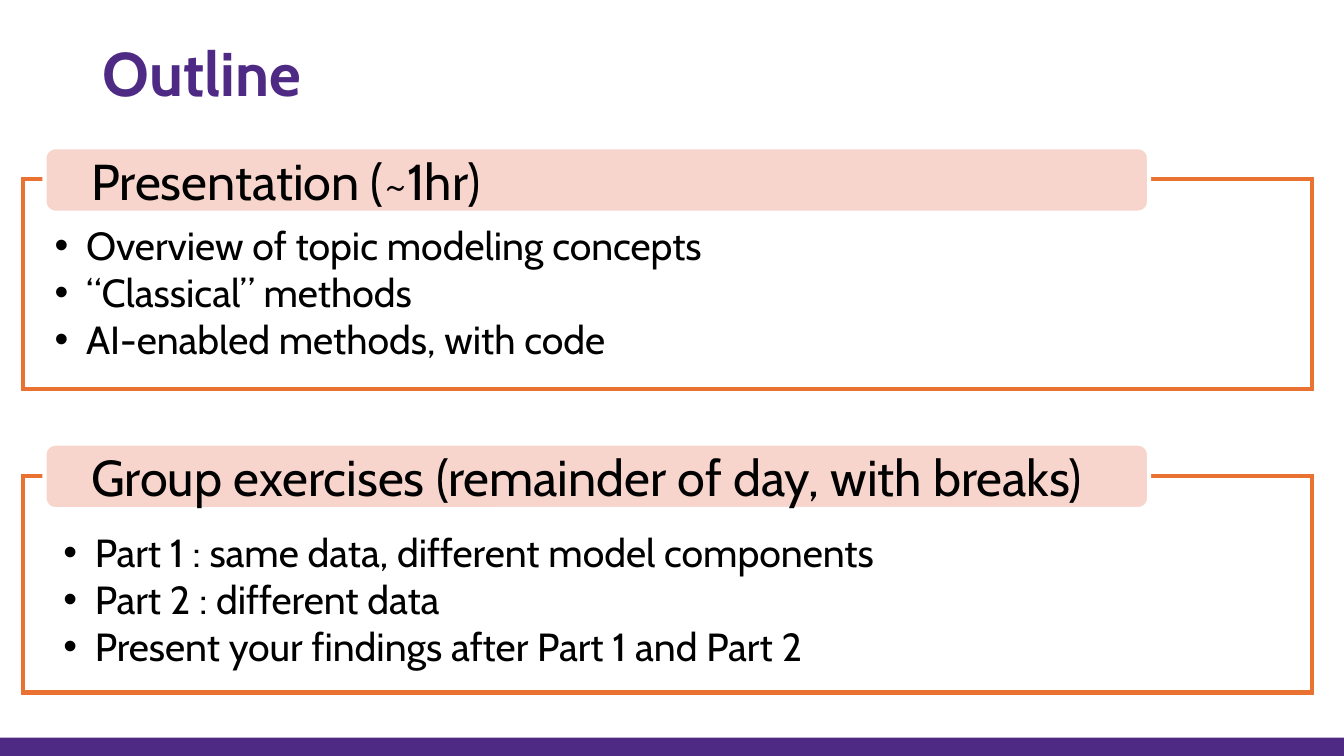
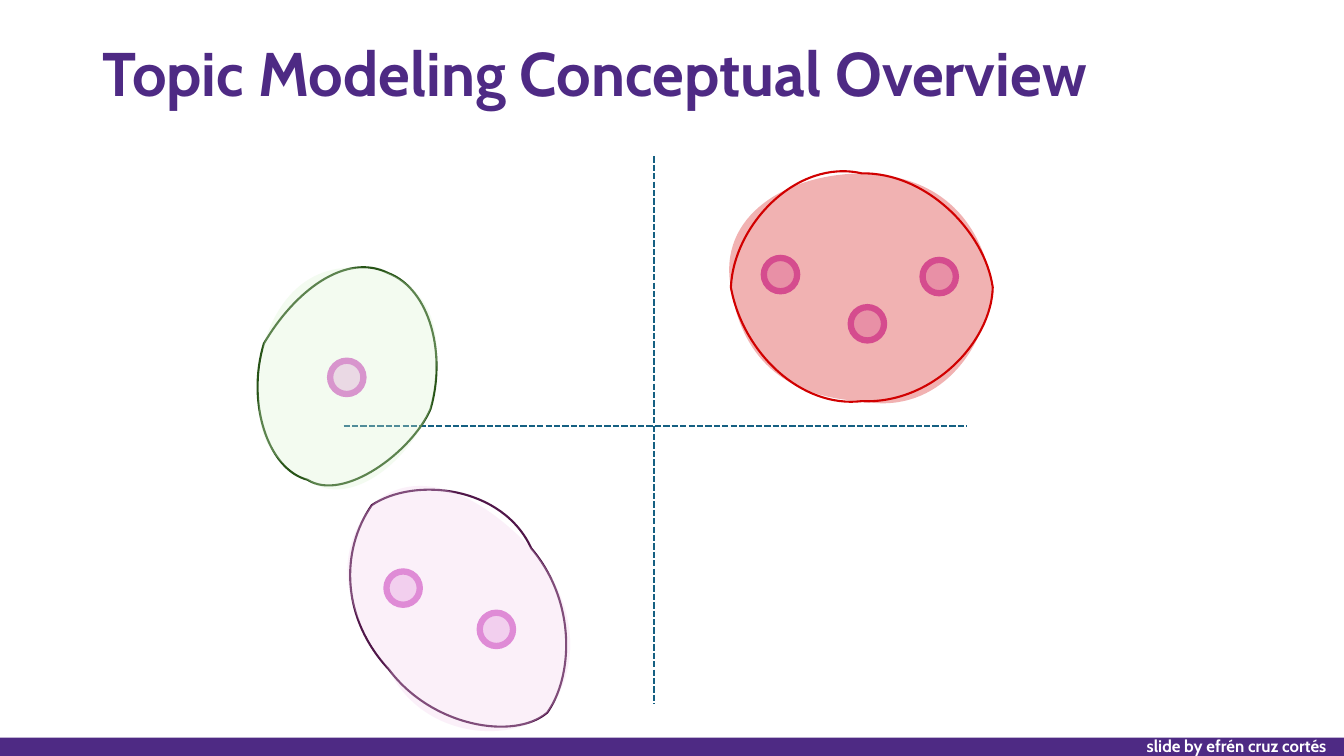
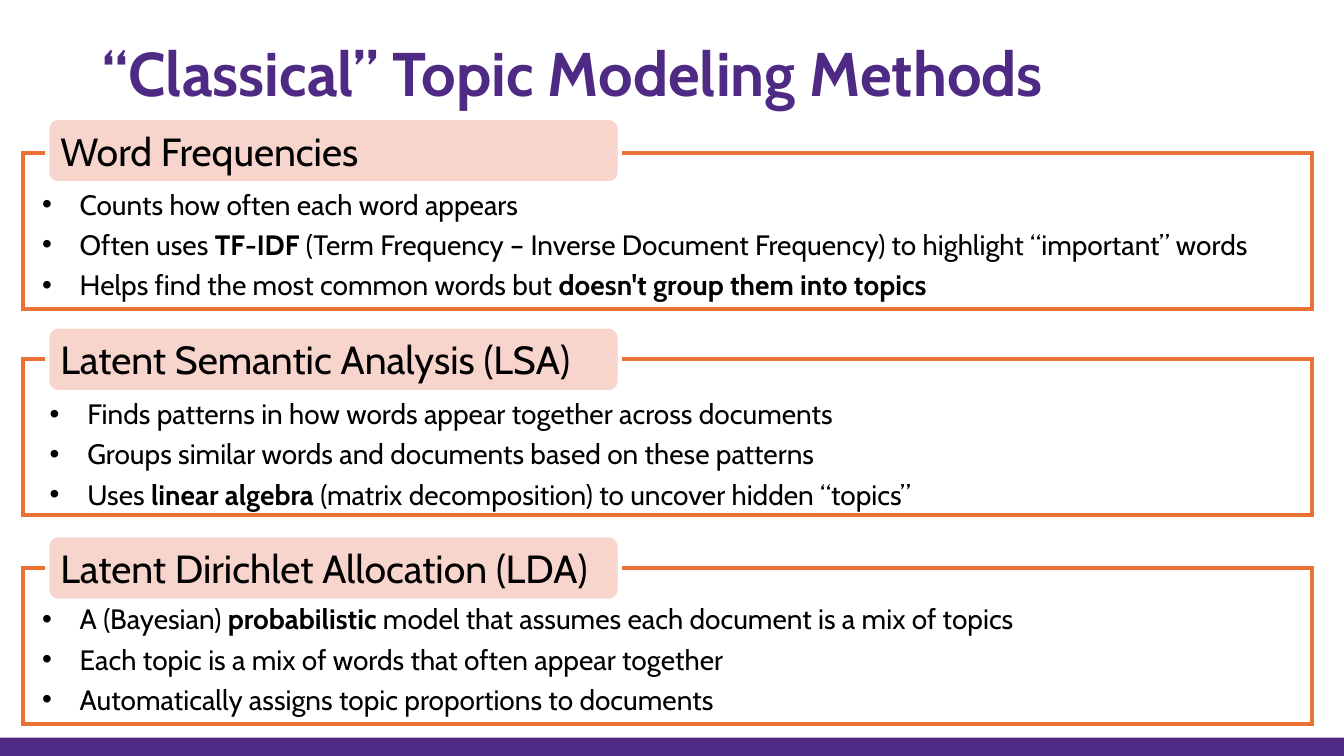
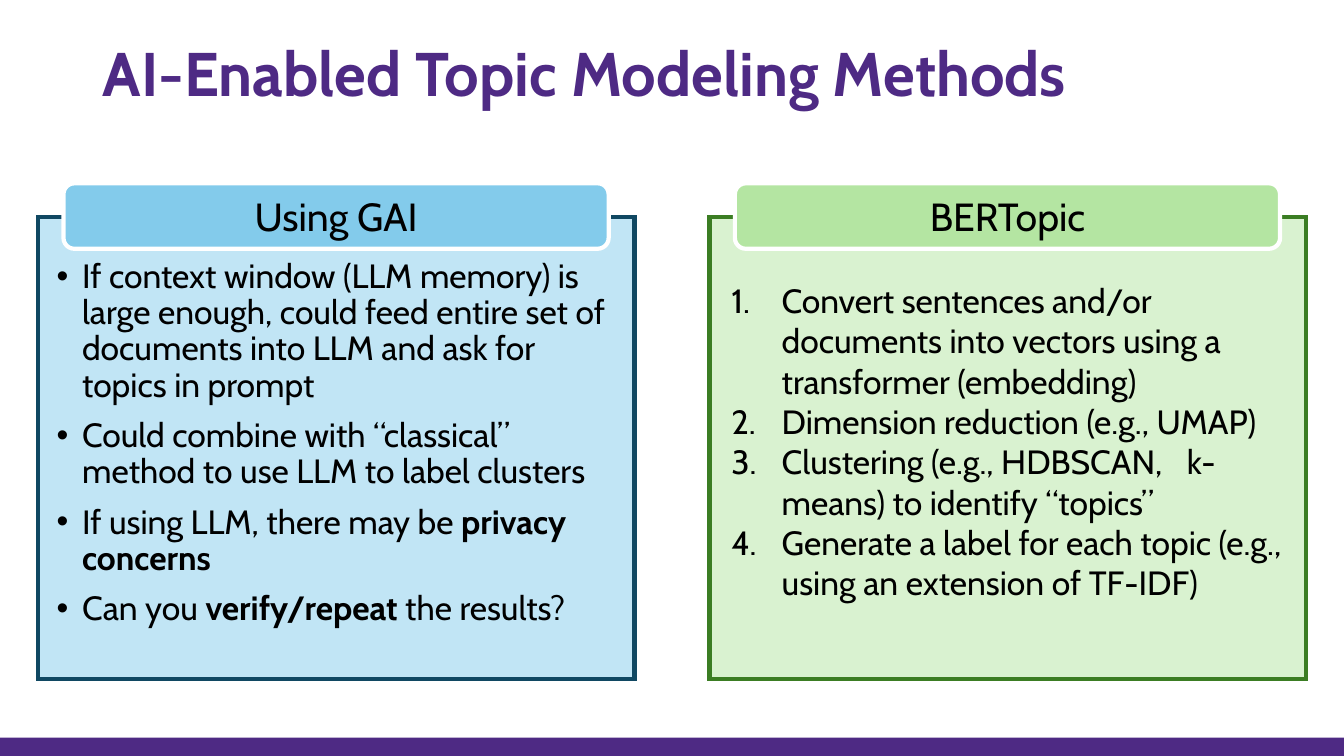
"""Build four slides on topic modeling."""
from math import cos, radians, sin

from lxml.etree import SubElement
from pptx import Presentation
from pptx.dml.color import RGBColor
from pptx.enum.dml import MSO_LINE
from pptx.enum.shapes import MSO_CONNECTOR, MSO_SHAPE
from pptx.enum.text import MSO_ANCHOR, MSO_AUTO_SIZE, PP_ALIGN
from pptx.oxml.ns import qn
from pptx.util import Cm, Pt

FONT = "Cabin"
PURPLE, WHITE, BLACK = "4E2A84", "FFFFFF", "000000"
ORANGE, PEACH, TEAL = "E97132", "F7D5CD", "156082"
ORCHID, PINK = "D86ECC", "F2CFEE"
WIDTH, HEIGHT = 33.87, 19.05
TITLE_BOX = (2.33, 0.69, 29.21, 2.49)
BAND = (0, 18.59, WIDTH, 0.46)
TAB_H = 1.65

FRAME = dict(left=0.59, width=32.48, fill=None, line=ORANGE, tab_fill=PEACH,
             align=PP_ALIGN.LEFT)
OUTLINE = dict(FRAME, tab_left=1.12, tab_width=27.84, tab_size=36, tab_margin=1.1,
               body=dict(size=28, indent=0.79))
CLASSICAL = dict(FRAME, height=3.93, tab_left=1.19, tab_width=14.43, tab_size=28,
                 tab_margin=0.25, body=dict(size=20, indent=0.95, spacing=1.2))
CARD = dict(top=5.46, width=15.04, height=11.66, tab_top=4.62, tab_width=13.74, tab_size=28,
            tab_margin=0.25, align=PP_ALIGN.CENTER)
METHOD_TAB_TOP, METHOD_PITCH = 2.97, 5.26

OUTLINE_PANELS = [
    dict(OUTLINE, top=4.52, height=5.28, tab_top=3.71, body_box=(1.13, 5.46, 24.13, 3.84),
         heading="Presentation (~1hr)",
         items=["Overview of topic modeling concepts",
                "“Classical” methods",
                "AI-enabled methods, with code"]),
    dict(OUTLINE, top=11.99, height=5.46, tab_top=11.18, body_box=(1.35, 13.18, 21.72, 3.84),
         heading="Group exercises (remainder of day, with breaks)",
         items=["Part 1 : same data, different model components",
                "Part 2 : different data",
                "Present your findings after Part 1 and Part 2"]),
]

METHODS = [
    ("Word Frequencies", 3.85, (0.81, 4.42, 31.88, 3.28), [
        "Counts how often each word appears",
        "Often uses **TF-IDF** (Term Frequency – Inverse Document Frequency) "
        "to highlight “important” words",
        "Helps find the most common words but **doesn't group them into topics**"]),
    ("Latent Semantic Analysis (LSA)", 9.04, (1, 9.7, 31.88, 3.28), [
        "Finds patterns in how words appear together across documents",
        "Groups similar words and documents based on these patterns",
        "Uses **linear algebra **(matrix decomposition) to uncover hidden “topics”"]),
    ("Latent Dirichlet Allocation (LDA)", 14.31, (0.81, 14.87, 31.04, 3.28), [
        "A (Bayesian) **probabilistic** model that assumes each document is a mix of topics",
        "Each topic is a mix of words that often appear together",
        "Automatically assigns topic proportions to documents"]),
]
METHOD_PANELS = [
    dict(CLASSICAL, top=top, tab_top=METHOD_TAB_TOP + i * METHOD_PITCH, heading=heading,
         body_box=box, items=items)
    for i, (heading, top, box, items) in enumerate(METHODS)
]

AI_PANELS = [
    dict(CARD, left=0.95, fill="C1E5F5", line="104862", tab_left=1.6, tab_fill="83CBEB",
         body_box=(1.18, 6.41, 14.43, 10.24), heading="Using GAI",
         body=dict(size=24, indent=0.64, spacing=0.9, before=10),
         items=["If context window (LLM memory) is large enough, could feed entire set of "
                "documents into LLM and ask for topics in prompt",
                "Could combine with “classical” method to use LLM to label clusters",
                "If using LLM, there may be **privacy concerns**",
                "Can you **verify/repeat **the results?"]),
    dict(CARD, left=17.88, fill="D9F2D0", line="3B7D23", tab_left=18.52, tab_fill="B4E5A2",
         body_box=(18.18, 6.93, 14.43, 9.25), heading="BERTopic",
         body=dict(size=24, indent=1.27, numbered=True, tab_stop=11.48),
         items=["Convert sentences and/or documents into vectors using a transformer (embedding)",
                "Dimension reduction (e.g., UMAP)",
                "Clustering (e.g., HDBSCAN,\tk-means) to identify “topics”",
                "Generate a label for each topic (e.g., using an extension of TF-IDF)"]),
]

AXES = [(16.48, 3.94, 16.48, 17.75), (8.66, 10.73, 24.38, 10.73)]
DOT_SIZE = 0.84
DOTS = [(19.25, 6.5), (21.44, 7.74), (23.25, 6.55), (8.32, 9.09), (12.09, 15.44), (9.74, 14.4)]
CLUSTERS = [
    dict(color="D10000", line="D10000", box=(18.42, 4.37, 6.6, 5.74), turn=0,
         anchors=[(18.42, 7.24), (21.72, 4.37), (25.02, 7.24), (21.72, 10.11)],
         edge=[((18.49, 5.66), (20.09, 3.99)), ((23.34, 4.34), (24.82, 5.84)),
               ((24.99, 8.61), (23.5, 10.19)), ((20.19, 10.29), (18.72, 8.89))],
         area=[((18.08, 5.44), (19.81, 4.39)), ((23.8, 4.42), (24.74, 5.66)),
               ((24.77, 9.07), (23.47, 10.46)), ((19.71, 10.01), (18.67, 8.94))]),
    dict(color="D9F2D0", line="275417", box=(6.5, 6.71, 4.52, 5.56), turn=21.4,
         anchors=[(6.65, 8.66), (9.78, 6.88), (10.85, 10.31), (7.75, 12.09)],
         edge=[((7.42, 7.34), (8.71, 6.35)), ((10.85, 7.29), (11.25, 8.94)),
               ((10.39, 11.38), (8.66, 12.67)), ((6.76, 11.84), (6.2, 10.16))],
         area=[((7.14, 7.11), (8.23, 6.43)), ((11.15, 7.49), (11.15, 8.79)),
               ((10.21, 11.79), (8.71, 12.83)), ((6.38, 11.38), (6.4, 10.41))]),
    dict(color="F2CFEE", line="501649", box=(8.15, 12.98, 6.86, 4.7), turn=49.8,
         anchors=[(9.37, 12.73), (13.39, 13.82), (13.79, 17.96), (9.8, 16.87)],
         edge=[((10.44, 12.01), (12.67, 12.24)), ((14.55, 15.19), (14.43, 17.07)),
               ((12.95, 18.67), (10.87, 18.31)), ((8.61, 15.6), (8.56, 13.89))],
         area=[((10.36, 11.81), (11.86, 12.22)), ((14.63, 15.29), (14.61, 16.89)),
               ((12.75, 18.8), (10.59, 18.54)), ((8.53, 15.21), (8.46, 13.87))]),
]
CREDIT, CREDIT_BOX = "slide by efrén cruz cortés", (28.65, 18.42, 5.38, 0.76)


def rgb(value):
    """Turn a hex string into a colour."""
    return RGBColor.from_string(value)


def cms(values):
    """Turn numbers into centimetre lengths."""
    return [Cm(v) for v in values]


def place(sp, box):
    """Move and size a shape."""
    for key, value in zip(("left", "top", "width", "height"), cms(box)):
        setattr(sp, key, value)


def paint(sp, fill=None, line=None, weight=3, alpha=None):
    """Set fill, line and opacity, and drop the shadow."""
    sp.shadow.inherit = False
    if fill:
        sp.fill.solid()
        sp.fill.fore_color.rgb = rgb(fill)
    else:
        sp.fill.background()
    if alpha:
        color = sp.element.spPr.find(qn("a:solidFill"))[0]
        SubElement(color, qn("a:alpha"), val=str(alpha * 1000))
    if line:
        sp.line.color.rgb = rgb(line)
        sp.line.width = Pt(weight)
        SubElement(sp.element.spPr.find(qn("a:ln")), qn("a:miter"), lim="800000")
    else:
        sp.line.fill.background()


def add_shape(s, kind, box, **look):
    """Add a painted preset shape."""
    sp = s.shapes.add_shape(kind, *cms(box))
    paint(sp, **look)
    return sp


def write(p, text, size, color=BLACK, bold=False):
    """Write text in runs, with **marked** parts in bold."""
    for i, part in enumerate(text.split("**")):
        if part:
            r = p.add_run()
            r.text = part
            values = dict(name=FONT, size=Pt(size), bold=bold or i % 2 == 1)
            for key, value in values.items():
                setattr(r.font, key, value)
            r.font.color.rgb = rgb(color)


def add_list(s, box, items, size, indent, spacing=1.0, before=0, numbered=False,
             tab_stop=None):
    """Add a text box with bulleted or numbered items."""
    tf = s.shapes.add_textbox(*cms(box)).text_frame
    tf.word_wrap = True
    for i, item in enumerate(items):
        p = tf.add_paragraph() if i else tf.paragraphs[0]
        p.line_spacing, p.space_before = spacing, Pt(before)
        pPr = p._p.get_or_add_pPr()
        pPr.set("marL", str(Cm(indent)))
        pPr.set("indent", str(-Cm(indent)))
        if numbered:
            SubElement(pPr, qn("a:buFont"), typeface="+mj-lt")
            SubElement(pPr, qn("a:buAutoNum"), type="arabicPeriod")
        else:
            SubElement(pPr, qn("a:buFont"), typeface="Arial")
            SubElement(pPr, qn("a:buChar"), char="•")
        if tab_stop and "\t" in item:
            stops = SubElement(pPr, qn("a:tabLst"))
            SubElement(stops, qn("a:tab"), pos=str(Cm(tab_stop)), algn="l")
        write(p, item, size)


def add_panel(s, d):
    """Add a group of a frame, its list and the heading tab on its top edge."""
    g = s.shapes.add_group_shape()
    add_shape(g, MSO_SHAPE.RECTANGLE, (d["left"], d["top"], d["width"], d["height"]),
              fill=d["fill"], line=d["line"])
    add_list(g, d["body_box"], d["items"], **d["body"])
    tab = add_shape(g, MSO_SHAPE.ROUNDED_RECTANGLE,
                    (d["tab_left"], d["tab_top"], d["tab_width"], TAB_H),
                    fill=d["tab_fill"], line=WHITE)
    tf = tab.text_frame
    values = dict(margin_left=Cm(d["tab_margin"]), vertical_anchor=MSO_ANCHOR.MIDDLE,
                  word_wrap=True)
    for key, value in values.items():
        setattr(tf, key, value)
    p = tf.paragraphs[0]
    p.alignment = d["align"]
    write(p, d["heading"], d["tab_size"])


def add_cluster(s, color, line, box, turn, anchors, edge, area):
    """Add a turned blob with one curve for its edge and one for its area."""
    left, top, width, height = box
    c, n = cos(radians(turn)), sin(radians(turn))

    def local(point):
        """Turn a point back into the frame of the box."""
        x, y = point[0] - left - width / 2, point[1] - top - height / 2
        return Cm(x * c + y * n + width / 2), Cm(y * c - x * n + height / 2)

    def add_points(parent, kind, points):
        """Add one drawing step."""
        step = SubElement(parent, qn("a:" + kind))
        for x, y in map(local, points):
            SubElement(step, qn("a:pt"), x=str(x), y=str(y))

    corners = [local(a) for a in anchors]
    builder = s.shapes.build_freeform(*corners[0], scale=1.0)
    builder.add_line_segments(corners[1:], close=True)
    sp = builder.convert_to_shape()
    place(sp, box)
    sp.rotation = turn
    curves = sp.element.spPr.find(qn("a:custGeom")).find(qn("a:pathLst"))
    curves.clear()
    size = dict(w=str(Cm(width)), h=str(Cm(height)))
    for controls, mode in ((edge, dict(fill="none")), (area, dict(stroke="0"))):
        curve = SubElement(curves, qn("a:path"), **size, **mode)
        add_points(curve, "moveTo", anchors[:1])
        for pair, end in zip(controls, anchors[1:] + anchors[:1]):
            add_points(curve, "cubicBezTo", [*pair, end])
        SubElement(curve, qn("a:close"))
    paint(sp, fill=color, line=line, weight=1.5, alpha=30)


def add_clusters(s):
    """Draw the axes, the document dots and the topic clusters."""
    g = s.shapes.add_group_shape()
    for ends in AXES:
        axis = g.shapes.add_connector(MSO_CONNECTOR.STRAIGHT, *cms(ends))
        axis.line.color.rgb = rgb(TEAL)
        axis.line.width = Pt(1.5)
        axis.line.dash_style = MSO_LINE.SQUARE_DOT
        SubElement(axis.element.spPr, qn("a:effectLst"))
    for dot in DOTS:
        add_shape(s, MSO_SHAPE.OVAL, (*dot, DOT_SIZE, DOT_SIZE),
                  fill=PINK, line=ORCHID, weight=4.5)
    for cluster in CLUSTERS:
        add_cluster(s, **cluster)
    tf = s.shapes.add_textbox(*cms(CREDIT_BOX)).text_frame
    tf.word_wrap = False
    write(tf.paragraphs[0], CREDIT, 12, WHITE, bold=True)


def add_slide(prs, title):
    """Add a slide with the shared title style."""
    s = prs.slides.add_slide(prs.slide_layouts[5])
    sp = s.shapes.title
    place(sp, TITLE_BOX)
    values = dict(vertical_anchor=MSO_ANCHOR.MIDDLE, word_wrap=True,
                  auto_size=MSO_AUTO_SIZE.NONE)
    for key, value in values.items():
        setattr(sp.text_frame, key, value)
    p = sp.text_frame.paragraphs[0]
    p.alignment, p.line_spacing = PP_ALIGN.LEFT, 0.9
    write(p, title, 44, PURPLE, bold=True)
    return s


def main():
    """Build and save the presentation."""
    prs = Presentation()
    prs.slide_width, prs.slide_height = Cm(WIDTH), Cm(HEIGHT)
    deck = [("Outline", OUTLINE_PANELS),
            ("Topic Modeling Conceptual Overview", None),
            ("“Classical” Topic Modeling Methods", METHOD_PANELS),
            ("AI-Enabled Topic Modeling Methods", AI_PANELS)]
    for i, (title, panels) in enumerate(deck):
        s = add_slide(prs, title)
        if i == 0:
            band = add_shape(s, MSO_SHAPE.RECTANGLE, BAND, fill=PURPLE)
            prs.slide_master.shapes.element.append(band.element)
        if panels:
            for panel in panels:
                add_panel(s, panel)
        else:
            add_clusters(s)
    prs.save("out.pptx")


if __name__ == "__main__":
    main()
